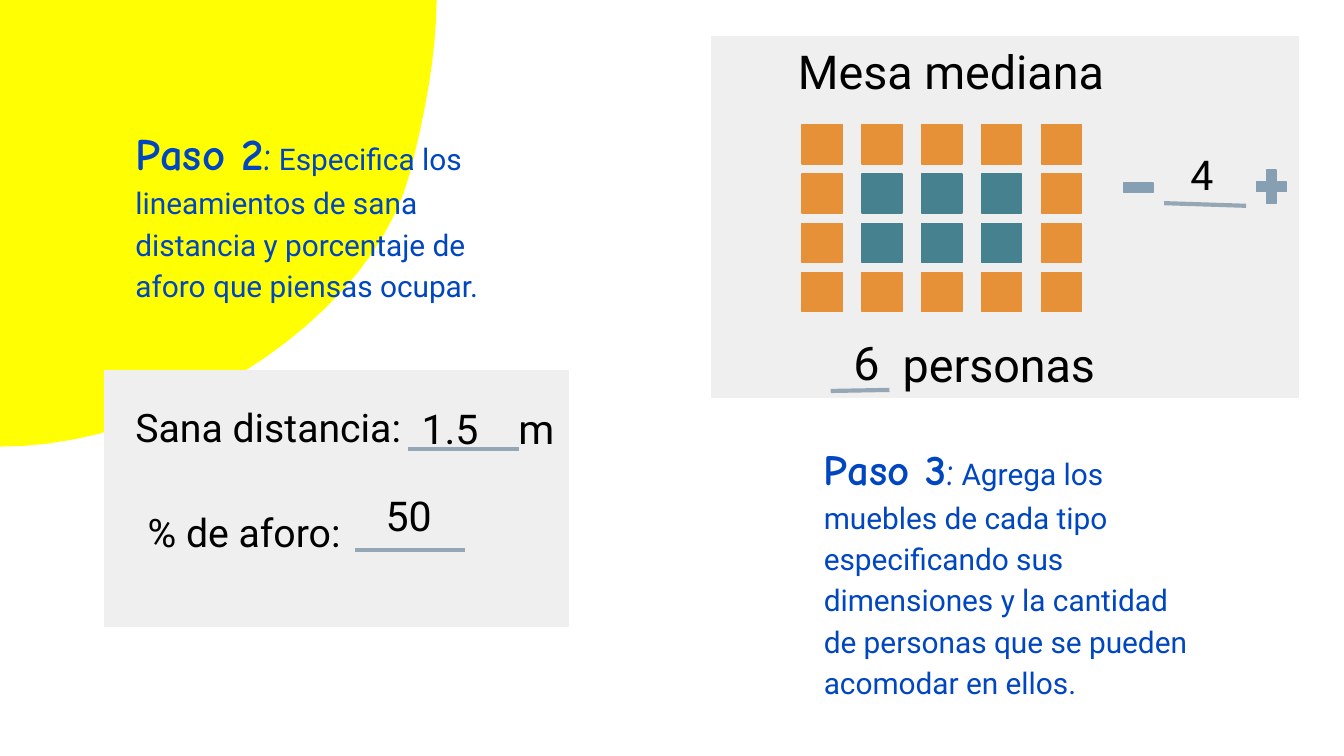
import math
from typing import NamedTuple

from lxml import etree
from pptx import Presentation
from pptx.dml.color import RGBColor
from pptx.enum.shapes import MSO_CONNECTOR, MSO_SHAPE
from pptx.enum.text import MSO_ANCHOR, MSO_AUTO_SIZE, PP_ALIGN
from pptx.oxml.ns import qn
from pptx.util import Cm, Pt

RECTANGLE, PLUS, MINUS = MSO_SHAPE.RECTANGLE, MSO_SHAPE.MATH_PLUS, MSO_SHAPE.MATH_MINUS
STRAIGHT = MSO_CONNECTOR.STRAIGHT
TOP, LEFT, NO_AUTOFIT = MSO_ANCHOR.TOP, PP_ALIGN.LEFT, MSO_AUTO_SIZE.NONE

COLORS = {
    "sun": "FFFE02", "panel": "EFEFEF", "step": "0046C1", "text": "000000",
    "seat": "E69138", "table": "45818E", "button": "869FB2", "blank": "95A6B4",
}
BODY_FONT, STEP_FONT = "Roboto", "Comic Neue"
LABEL_HEIGHT = 1.12


class Box(NamedTuple):
    """Left, top, width and height in centimetres."""
    left: float
    top: float
    width: float
    height: float

    def lengths(self) -> list:
        return [Cm(value) for value in self]


class Step(NamedTuple):
    name: str
    instruction: str
    name_size: int
    box: Box


class Label(NamedTuple):
    text: str
    size: int
    left: float
    top: float
    width: float


class Blank(NamedTuple):
    """Underline of a field to fill in, in centimetres."""
    x1: float
    y1: float
    x2: float
    y2: float


STEPS = [
    Step("Paso 2", "Especifica los lineamientos de sana distancia y porcentaje de "
         "aforo que piensas ocupar.", 24, Box(2.31, 1.98, 7.26, 4.09)),
    Step("Paso 3", "Agrega los muebles de cada tipo especificando sus dimensiones y la "
         "cantidad de personas que se pueden acomodar en ellos.", 23,
         Box(15.32, 7.98, 7.42, 4.83)),
]
HEADING = Label("Mesa mediana", 25, 14.83, 0.56, 7.26)
LABELS = [
    Label("4", 22, 22.25, 2.57, 0.76),
    Label("6", 25, 15.88, 6.07, 0.76),
    Label("personas", 25, 16.81, 6.1, 6.5),
    Label("Sana distancia:", 21, 2.31, 7.37, 7.26),
    Label("% de aforo:", 21, 2.54, 9.35, 7.26),
    Label("50", 22, 7.04, 9.02, 1.42),
    Label("1.5", 22, 7.72, 7.37, 1.68),
    Label("m", 22, 9.55, 7.37, 0.76),
]
BLANKS = [
    Blank(22, 3.84, 23.55, 3.89),
    Blank(15.7, 7.39, 16.81, 7.37),
    Blank(7.72, 8.48, 9.8, 8.48),
    Blank(6.71, 10.39, 8.79, 10.39),
]
PANELS = [Box(13.46, 0.69, 11.07, 6.83), Box(1.98, 7.01, 8.76, 4.83)]

GRID_COLUMNS, GRID_ROWS = 5, 4
GRID_LEFT, GRID_TOP = 15.16, 2.36
COLUMN_PITCH, ROW_PITCH = 1.13, 0.93

SUN_ANGLE, SUN_CENTER = 14.4, (0.6, 1.31)
SUN_START = (3.71, -5.33)
SUN_CURVES = [
    ((3.53, -5.38), (3.35, -5.44), (3.15, -5.46)),
    ((-0.2, -6.17), (-5.66, -4.09), (-6.48, -0.89)),
    ((-7.32, 2.31), (-4.65, 7.42), (-1.32, 8.28)),
    ((2.01, 9.14), (6.93, 6.45), (7.75, 3.25)),
    ((8.53, 0.15), (9.12, -3.96), SUN_START),
]
CURVE_STEPS = 24


def rgb(name: str) -> RGBColor:
    return RGBColor.from_string(COLORS[name])


def unrotate(x: float, y: float) -> tuple:
    """Turn a point back by the sun's angle, so that shape.rotation restores it."""
    angle = math.radians(-SUN_ANGLE)
    dx, dy = x - SUN_CENTER[0], y - SUN_CENTER[1]
    return (Cm(SUN_CENTER[0] + dx * math.cos(angle) - dy * math.sin(angle)),
            Cm(SUN_CENTER[1] + dx * math.sin(angle) + dy * math.cos(angle)))


def bezier(points: tuple, t: float) -> tuple:
    weights = ((1 - t) ** 3, 3 * t * (1 - t) ** 2, 3 * t ** 2 * (1 - t), t ** 3)
    return tuple(sum(w * p[axis] for w, p in zip(weights, points)) for axis in (0, 1))


def draw_sun(slide) -> None:
    outline, start = [], SUN_START
    for curve in SUN_CURVES:
        outline += [unrotate(*bezier((start, *curve), i / CURVE_STEPS))
                    for i in range(1, CURVE_STEPS + 1)]
        start = curve[-1]
    builder = slide.shapes.build_freeform(*unrotate(*SUN_START))
    builder.add_line_segments(outline, close=True)
    sun = builder.convert_to_shape()
    sun.rotation = SUN_ANGLE
    sun.shadow.inherit = False
    sun.fill.solid()
    sun.fill.fore_color.rgb = rgb("sun")
    sun.line.fill.background()


def draw_shape(slide, kind, box: Box, color: str):
    shape = slide.shapes.add_shape(kind, *box.lengths())
    shape.shadow.inherit = False
    shape.fill.solid()
    shape.fill.fore_color.rgb = rgb(color)
    shape.line.color.rgb = rgb(color)
    shape.line.width = Pt(0.75)
    return shape


def draw_furniture(slide) -> None:
    """Draw the table cells with a ring of seats around them."""
    for row in range(GRID_ROWS):
        for column in range(GRID_COLUMNS):
            inside = 0 < row < GRID_ROWS - 1 and 0 < column < GRID_COLUMNS - 1
            cell = Box(GRID_LEFT + column * COLUMN_PITCH, GRID_TOP + row * ROW_PITCH, 0.76, 0.74)
            draw_shape(slide, RECTANGLE, cell, "table" if inside else "seat")


def prepare_frame(frame) -> None:
    frame.word_wrap = True
    frame.auto_size = NO_AUTOFIT
    frame.vertical_anchor = TOP
    frame.margin_left = frame.margin_right = frame.margin_top = frame.margin_bottom = Cm(0.25)


def draw_step(slide, step: Step) -> None:
    frame = slide.shapes.add_textbox(*step.box.lengths()).text_frame
    prepare_frame(frame)
    paragraph = frame.paragraphs[0]
    paragraph.line_spacing = 1.15
    paragraph.font.color.rgb = rgb("step")
    for text, font, size, bold in ((step.name, STEP_FONT, step.name_size, True),
                                   (":", STEP_FONT, step.name_size, False),
                                   (f" {step.instruction}", BODY_FONT, 16, False)):
        run = paragraph.add_run()
        run.text = text
        run.font.name, run.font.size, run.font.bold = font, Pt(size), bold


def write_label(frame, label: Label) -> None:
    prepare_frame(frame)
    frame.text = label.text
    paragraph = frame.paragraphs[0]
    paragraph.alignment = LEFT
    paragraph.font.name, paragraph.font.size = BODY_FONT, Pt(label.size)
    paragraph.font.color.rgb = rgb("text")


def draw_label(slide, label: Label) -> None:
    box = Box(label.left, label.top, label.width, LABEL_HEIGHT)
    write_label(slide.shapes.add_textbox(*box.lengths()).text_frame, label)


def place_heading(slide) -> None:
    title = slide.shapes.title
    title.left, title.top, title.width, title.height = Box(
        HEADING.left, HEADING.top, HEADING.width, LABEL_HEIGHT).lengths()
    write_label(title.text_frame, HEADING)
    slide.shapes.element.append(title.element)  # in front of its panel


def draw_blank(slide, blank: Blank) -> None:
    line = slide.shapes.add_connector(STRAIGHT, *(Cm(value) for value in blank))
    line.line.color.rgb = rgb("blank")
    line.line.width = Pt(2.25)
    etree.SubElement(line.element.spPr, qn("a:effectLst"))


def main() -> None:
    deck = Presentation()
    deck.slide_width, deck.slide_height = Cm(25.4), Cm(14.29)
    slide = deck.slides.add_slide(deck.slide_layouts[5])

    draw_sun(slide)
    for panel in PANELS:
        draw_shape(slide, RECTANGLE, panel, "panel")
    for step in STEPS:
        draw_step(slide, step)
    draw_furniture(slide)
    for kind, box in ((PLUS, Box(23.65, 3.1, 0.76, 0.86)), (MINUS, Box(21.13, 3.18, 0.76, 0.74))):
        draw_shape(slide, kind, box, "button").adjustments[0] = 0.235
    for blank in BLANKS:
        draw_blank(slide, blank)
    place_heading(slide)
    for label in LABELS:
        draw_label(slide, label)

    deck.save("out.pptx")


if __name__ == "__main__":
    main()
